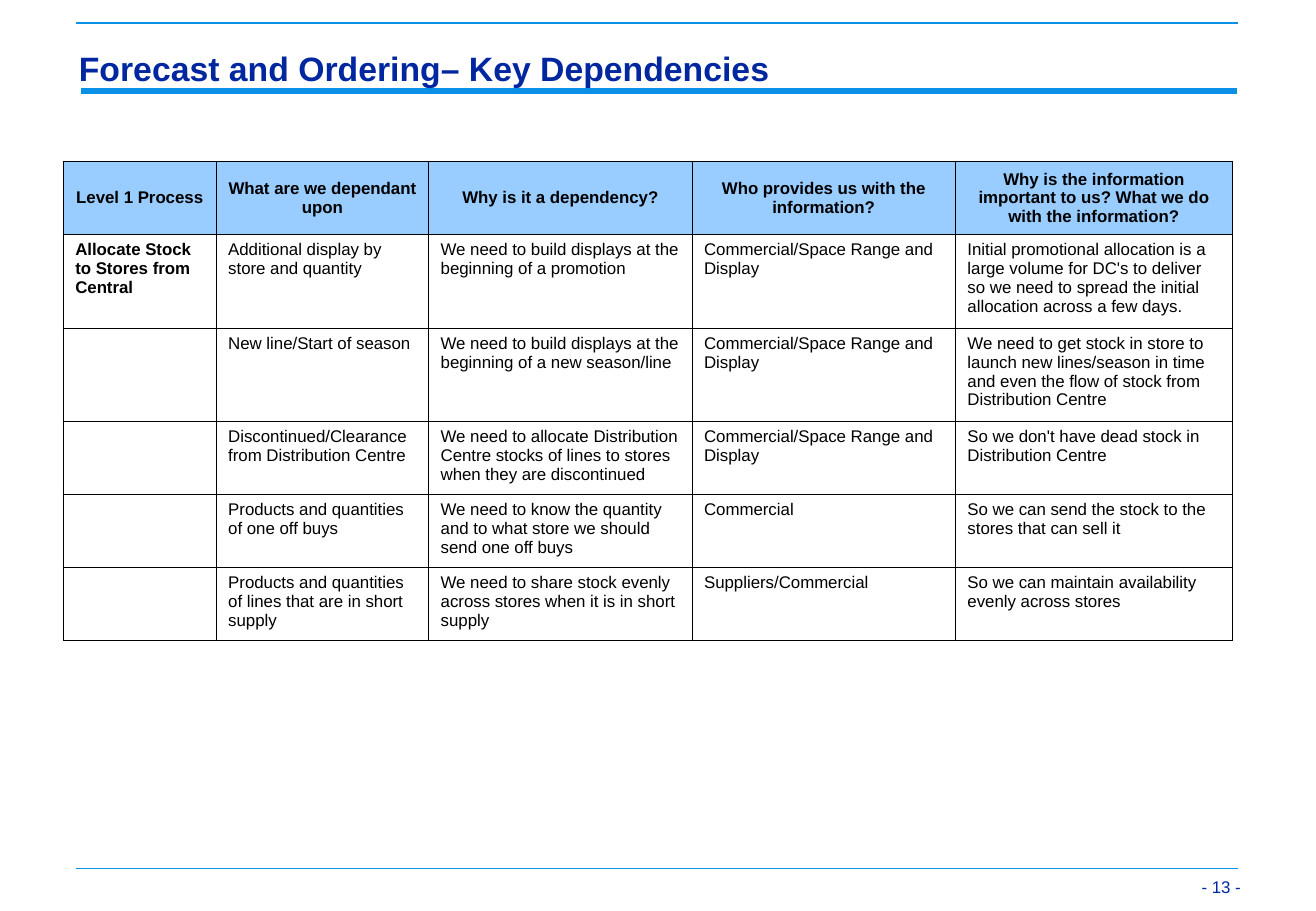
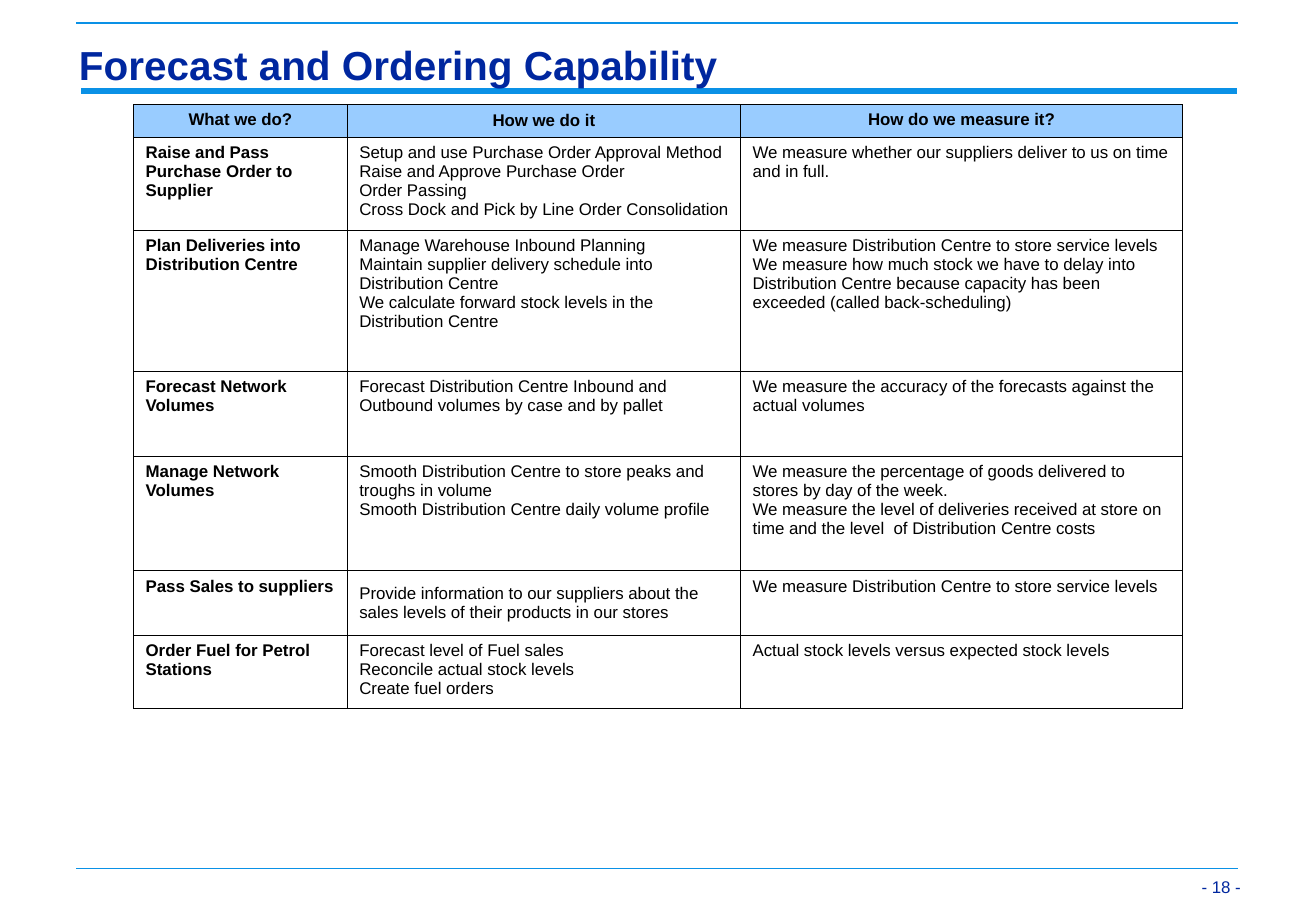
from lxml import etree
from pptx import Presentation
from pptx.dml.color import RGBColor
from pptx.enum.shapes import MSO_CONNECTOR
from pptx.enum.text import MSO_ANCHOR, PP_ALIGN
from pptx.oxml.ns import qn
from pptx.util import Inches, Pt

STRAIGHT = MSO_CONNECTOR.STRAIGHT
TOP, MIDDLE, BOTTOM = MSO_ANCHOR.TOP, MSO_ANCHOR.MIDDLE, MSO_ANCHOR.BOTTOM
LEFT, CENTER, RIGHT = PP_ALIGN.LEFT, PP_ALIGN.CENTER, PP_ALIGN.RIGHT

WHITE = RGBColor(0xFF, 0xFF, 0xFF)
BLACK = RGBColor(0x00, 0x00, 0x00)
NAVY = RGBColor(0x00, 0x27, 0x9F)
BRIGHT_BLUE = RGBColor(0x0A, 0x91, 0xE6)
HEADER_BLUE = RGBColor(0x99, 0xCC, 0xFF)

FONT = "Arial"
TITLE_ONLY = 5
BORDER_WIDTH = Pt(0.45)
RULES = [(0.63, 10.2, 0.19, 1), (0.67, 10.19, 0.75, 4), (0.63, 10.2, 7.15, 1)]

DISPLAY_TEAM = "Commercial/Space Range and Display"
DEPENDENCIES = [
    ["Level 1 Process", "What are we dependant upon", "Why is it a dependency?",
     "Who provides us with the information?",
     "Why is the information important to us? What we do with the information?"],
    ["Allocate Stock to Stores from Central",
     "Additional display by store and quantity",
     "We need to build displays at the beginning of a promotion",
     DISPLAY_TEAM,
     "Initial promotional allocation is a large volume for DC's to deliver so we "
     "need to spread the initial allocation across a few days."],
    ["", "New line/Start of season",
     "We need to build displays at the beginning of a new season/line",
     DISPLAY_TEAM,
     "We need to get stock in store to launch new lines/season in time and even "
     "the flow of stock from Distribution Centre"],
    ["", "Discontinued/Clearance from Distribution Centre",
     "We need to allocate Distribution Centre stocks of lines to stores when they "
     "are discontinued",
     DISPLAY_TEAM,
     "So we don't have dead stock in Distribution Centre"],
    ["", "Products and quantities of one off buys",
     "We need to know the quantity and to what store we should send one off buys",
     "Commercial",
     "So we can send the stock to the stores that can sell it"],
    ["", "Products and quantities of lines that are in short supply",
     "We need to share stock evenly across stores when it is in short supply",
     "Suppliers/Commercial",
     "So we can maintain availability evenly across stores"],
]

CAPABILITIES = [
    ["What we do?", "How we do it", "How do we measure it?"],
    ["Raise and Pass Purchase Order to Supplier",
     "Setup and use Purchase Order Approval Method\n"
     "Raise and Approve Purchase Order\n"
     "Order Passing\n"
     "Cross Dock and Pick by Line Order Consolidation",
     "We measure whether our suppliers deliver to us on time and in full."],
    ["Plan Deliveries into Distribution Centre",
     "Manage Warehouse Inbound Planning\n"
     "Maintain supplier delivery schedule into Distribution Centre\n"
     "We calculate forward stock levels in the Distribution Centre",
     "We measure Distribution Centre to store service levels\n"
     "We measure how much stock we have to delay into Distribution Centre because "
     "capacity has been exceeded (called back-scheduling)"],
    ["Forecast Network Volumes",
     "Forecast Distribution Centre Inbound and Outbound volumes by case and by pallet",
     "We measure the accuracy of the forecasts against the actual volumes"],
    ["Manage Network Volumes",
     "Smooth Distribution Centre to store peaks and troughs in volume\n"
     "Smooth Distribution Centre daily volume profile",
     "We measure the percentage of goods delivered to stores by day of the week.\n"
     "We measure the level of deliveries received at store on time and the level  of "
     "Distribution Centre costs"],
    ["Pass Sales to suppliers",
     "Provide information to our suppliers about the sales levels of their products "
     "in our stores",
     "We measure Distribution Centre to store service levels"],
    ["Order Fuel for Petrol Stations",
     "Forecast level of Fuel sales\nReconcile actual stock levels\nCreate fuel orders",
     "Actual stock levels versus expected stock levels"],
]


def write_text(frame, text, size=10, bold=False, color=BLACK, align=LEFT, spacing=None):
    frame.text = text
    frame.word_wrap = True
    for para in frame.paragraphs:
        para.alignment = align
        para.line_spacing = spacing
        para.space_before = Pt(0)
        para.font.name = FONT
        para.font.size = Pt(size)
        para.font.bold = bold
        para.font.color.rgb = color


def set_bottom_frame(frame):
    frame.vertical_anchor = BOTTOM
    frame.margin_left = frame.margin_right = Inches(0.07)
    frame.margin_top = frame.margin_bottom = Inches(0.03)


def add_rule(page, left, right, top, weight):
    rule = page.shapes.add_connector(
        STRAIGHT, Inches(left), Inches(top), Inches(right), Inches(top))
    rule.line.color.rgb = BRIGHT_BLUE
    rule.line.width = Pt(weight)
    etree.SubElement(rule._element.spPr, qn("a:effectLst"))


def add_page(deck, title, title_size, number):
    page = deck.slides.add_slide(deck.slide_layouts[TITLE_ONLY])
    page.background.fill.solid()
    page.background.fill.fore_color.rgb = WHITE
    for rule in RULES:
        add_rule(page, *rule)

    heading = page.shapes.title
    heading.left, heading.top = Inches(0.58), Inches(0.33)
    heading.width, heading.height = Inches(9.63), Inches(0.44)
    write_text(heading.text_frame, title, size=title_size, bold=True, color=NAVY,
               spacing=0.97)
    set_bottom_frame(heading.text_frame)
    page.shapes._spTree.append(heading._element)

    footer = page.shapes.add_textbox(
        Inches(9.69), Inches(7.02), Inches(0.6), Inches(0.39))
    write_text(footer.text_frame, f"- {number} -", color=NAVY, align=RIGHT)
    set_bottom_frame(footer.text_frame)
    return page


def add_borders(cell):
    properties = cell._tc.get_or_add_tcPr()
    for side in ("a:lnL", "a:lnR", "a:lnT", "a:lnB"):
        line = etree.SubElement(properties, qn(side), w=str(BORDER_WIDTH))
        fill = etree.SubElement(line, qn("a:solidFill"))
        etree.SubElement(fill, qn("a:srgbClr"), val=str(BLACK))


def format_cell(cell, text, header, bold, anchor):
    add_borders(cell)
    if header:
        cell.fill.solid()
        cell.fill.fore_color.rgb = HEADER_BLUE
    else:
        cell.fill.background()
    cell.margin_left = cell.margin_right = Inches(0.1)
    cell.margin_top = cell.margin_bottom = Inches(0.05)
    cell.vertical_anchor = anchor
    write_text(cell.text_frame, text, bold=bold, align=CENTER if header else LEFT)


def add_grid(page, left, top, widths, heights, rows, middle_cells):
    frame = page.shapes.add_table(
        len(heights), len(widths), Inches(left), Inches(top),
        Inches(sum(widths)), Inches(sum(heights)))
    table = frame.table
    table.first_row = table.horz_banding = False
    for column, width in zip(table.columns, widths):
        column.width = Inches(width)
    for row, height in zip(table.rows, heights):
        row.height = Inches(height)
    for row_index, texts in enumerate(rows):
        for column_index, text in enumerate(texts):
            header = row_index == 0
            position = (row_index, column_index)
            format_cell(table.cell(*position), text, header,
                        bold=header or column_index == 0,
                        anchor=MIDDLE if position in middle_cells else TOP)


def main():
    deck = Presentation()
    deck.slide_width, deck.slide_height = Inches(10.84), Inches(7.5)

    page = add_page(deck, "Forecast and Ordering– Key Dependencies", 20, 13)
    add_grid(page, 0.52, 1.33, [1.26, 1.75, 2.17, 2.17, 2.28],
             [0.6, 0.77, 0.77, 0.6, 0.6, 0.6], DEPENDENCIES,
             middle_cells=[(0, column) for column in range(5)])

    page = add_page(deck, "Forecast and Ordering Capability", 24, 18)
    add_grid(page, 1.1, 0.86, [1.76, 3.24, 3.64],
             [0.27, 0.77, 1.16, 0.7, 0.94, 0.53, 0.6], CAPABILITIES,
             middle_cells=[(0, 1), (5, 1)])

    deck.save("out.pptx")


if __name__ == "__main__":
    main()
